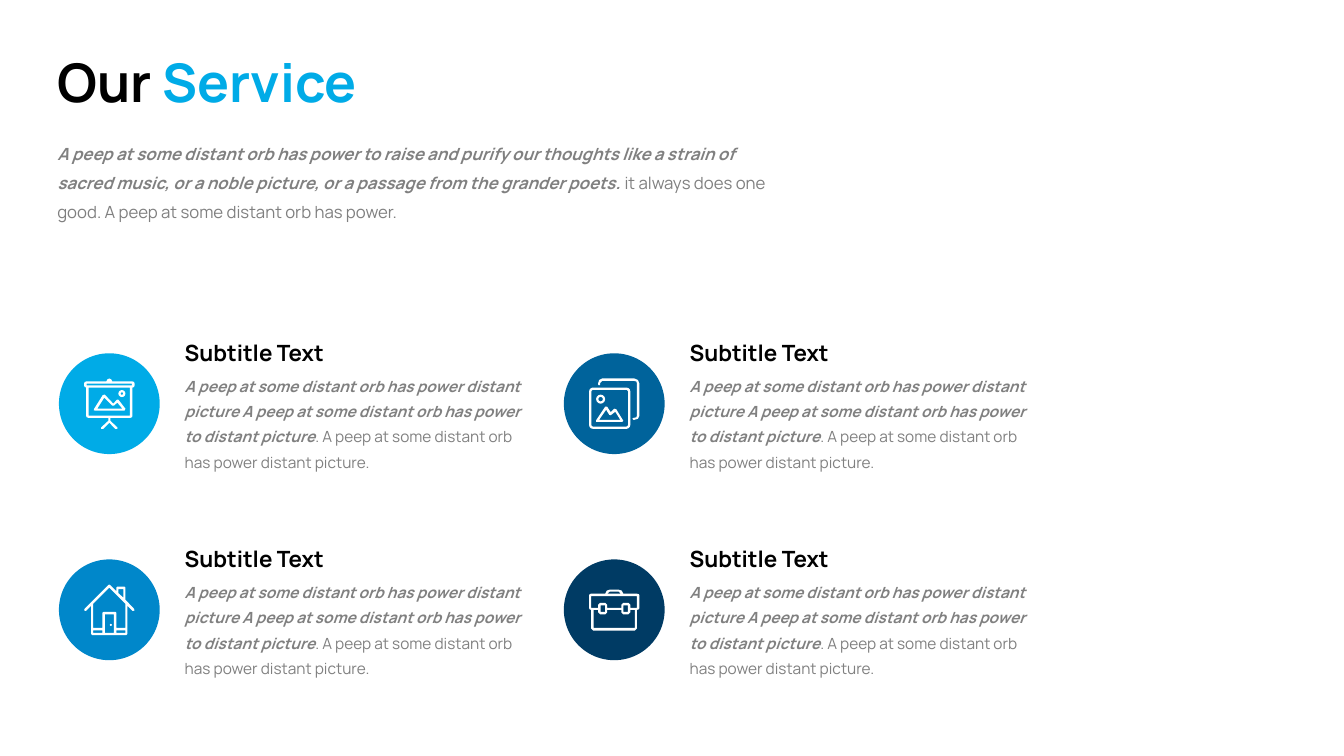
from math import cos, radians, sin

from pptx import Presentation
from pptx.dml.color import RGBColor
from pptx.enum.shapes import MSO_SHAPE
from pptx.enum.text import MSO_ANCHOR, MSO_AUTO_SIZE, PP_ALIGN
from pptx.util import Pt

PX = 4572  # one px is 1/200 inch

COLORS = {
    "black": "000000", "gray": "808080", "white": "FFFFFF",
    "sky": "00ABE7", "azure": "0087CA", "blue": "00639B", "navy": "003B64",
}

# Text formats
TITLE = {"size": Pt(38), "bold": True, "name": "Manrope"}
SUBTITLE = {"size": Pt(16), "bold": True, "name": "Manrope"}
INTRO = {"size": Pt(12), "bold": False, "italic": False, "name": "Manrope"}
BODY = {**INTRO, "size": Pt(11)}
STRONG = {"bold": True, "italic": True}

INTRO_STRONG = (
    "A peep at some distant orb has power to raise and purify our thoughts like a strain of "
    "sacred music, or a noble picture, or a passage from the grander poets. "
)
INTRO_PLAIN = "it always does one good. A peep at some distant orb has power."
BODY_STRONG = (
    "A peep at some distant orb has power distant picture "
    "A peep at some distant orb has power to distant picture"
)
BODY_PLAIN = ". A peep at some distant orb has power distant picture."


# Contours for the icons
def rect(x, y, width, height):
    return [(x, y), (x + width, y), (x + width, y + height), (x, y + height)]


def rounded(x, y, size, radius):
    """Corner points of a square with round corners, clockwise from the right."""
    near, far = radius, size - radius
    centers = [(far, far), (near, far), (near, near), (far, near)]
    return [
        (x + cx + radius * cos(radians(90 * corner + step)),
         y + cy + radius * sin(radians(90 * corner + step)))
        for corner, (cx, cy) in enumerate(centers)
        for step in (0, 30, 60, 90)
    ]


def circle(x, y, radius):
    return [(x + radius * cos(radians(angle)), y + radius * sin(radians(angle)))
            for angle in range(0, 360, 30)]


# Each icon is one outline whose inner contours are holes
SCREEN = [
    [(96, 6), (56, 6), (54, 2), (50, 0), (46, 2), (44, 6), (4, 6), (1, 7), (0, 10), (0, 14),
     (1, 17), (4, 18), (4, 74), (5, 77), (8, 78), (48, 78), (48, 84), (34, 97), (34, 100),
     (38, 100), (50, 88), (62, 100), (66, 100), (66, 97), (52, 84), (52, 78), (92, 78),
     (95, 77), (96, 74), (96, 18), (99, 17), (100, 14), (100, 10), (99, 7)],
    rect(5, 10, 90, 4),
    rect(9, 18, 82, 56),
    circle(75, 30, 7),
    circle(75, 30, 2.5),
    [(22, 64), (80, 64), (82, 60), (68, 42), (65, 42), (58, 50), (41, 32), (37, 33),
     (20, 60), (19, 63)],
    [(26, 60), (40, 38), (56, 54), (59, 54), (66, 48), (76, 60)],
]
PICTURES = [
    [(90, 0), (26, 0), (20, 3), (18, 10), (18, 12), (20, 14), (22, 12), (22, 9), (26, 5),
     (90, 5), (94, 6), (95, 10), (95, 74), (94, 77), (90, 78), (88, 78), (86, 80), (88, 82),
     (90, 82), (97, 80), (100, 74), (100, 10), (97, 3)],
    rounded(0, 18, 82, 8),
    rounded(4.5, 22.5, 73, 4),
    circle(23, 41, 9),
    circle(23, 41, 4.5),
    [(14, 86), (66, 86), (68, 84), (54, 61), (50, 60), (43, 67), (36, 56), (32, 56), (14, 83)],
    [(20, 82), (34, 62), (40, 72), (43, 73), (52, 66), (62, 82)],
]
HOUSE = [
    [(99, 48), (82, 30), (82, 6), (80, 4), (66, 4), (64, 6), (64, 13), (52, 1), (50, 0),
     (48, 1), (1, 48), (0, 51), (2, 52), (4, 52), (14, 42), (14, 98), (16, 100), (84, 100),
     (86, 98), (86, 42), (96, 52), (98, 52), (100, 51)],
    [(68, 9), (78, 9), (78, 26), (68, 17)],
    [(82, 86), (64, 86), (64, 56), (62, 54), (39, 54), (36, 56), (36, 86), (18, 86),
     (18, 38), (50, 6), (82, 38)],
    rect(18, 91, 18, 5),
    rect(64, 91, 18, 5),
    rect(41, 59, 18, 37),
    circle(53, 80, 2),
]
BRIEFCASE = [
    [(95, 8), (68, 8), (65, 2), (59, 0), (41, 0), (35, 2), (32, 8), (4, 8), (1, 9), (0, 12),
     (0, 36), (1, 39), (4, 40), (4, 77), (8, 81), (91, 81), (95, 77), (95, 40), (99, 39),
     (100, 36), (100, 12), (99, 9)],
    [(41, 4), (59, 4), (63, 8), (36, 8)],
    [(95, 36), (82, 36), (82, 30), (78, 26), (68, 26), (64, 30), (64, 36), (36, 36), (36, 30),
     (32, 26), (22, 26), (18, 30), (18, 36), (4, 36), (4, 13), (95, 13)],
    rect(23, 31, 9, 13),
    rect(68, 31, 9, 13),
    [(91, 76), (9, 76), (9, 40), (18, 40), (18, 45), (22, 49), (32, 49), (36, 45), (36, 40),
     (64, 40), (64, 45), (68, 49), (78, 49), (82, 45), (82, 40), (91, 40)],
]

# Column, row, circle color, icon, icon top within the circle
SERVICES = [
    (0, 0, "sky", SCREEN, 50),
    (1, 0, "blue", PICTURES, 50),
    (0, 1, "azure", HOUSE, 50),
    (1, 1, "navy", BRIEFCASE, 60),
]


def rgb(name):
    return RGBColor.from_string(COLORS[name])


def place(shape, left, top, width, height):
    for key, value in zip(("left", "top", "width", "height"), (left, top, width, height)):
        setattr(shape, key, value * PX)


def write(box, spans, wrap=True, spacing=None):
    """Fill a text shape with one paragraph of (text, color, format) spans."""
    frame = box.text_frame
    settings = {"word_wrap": wrap, "auto_size": MSO_AUTO_SIZE.SHAPE_TO_FIT_TEXT,
                "vertical_anchor": MSO_ANCHOR.TOP}
    for key, value in settings.items():
        setattr(frame, key, value)
    para = frame.paragraphs[0]
    para.alignment = PP_ALIGN.LEFT
    if spacing:
        para.line_spacing = Pt(spacing)
    for text, color, style in spans:
        span = para.add_run()
        span.text = text
        for key, value in style.items():
            setattr(span.font, key, value)
        span.font.color.rgb = rgb(color)


def add_text(page, area, spans, **options):
    box = page.shapes.add_textbox(0, 0, 0, 0)
    place(box, *area)
    write(box, spans, **options)


def paint(shape, color):
    shape.shadow.inherit = False
    shape.fill.solid()
    shape.fill.fore_color.rgb = rgb(color)
    shape.line.fill.background()


def add_circle(page, left, top, color):
    disc = page.shapes.add_shape(MSO_SHAPE.OVAL, 0, 0, 0, 0)
    place(disc, left, top, 200, 200)
    paint(disc, color)


def add_icon(page, left, top, contours):
    scaled = [[(x * PX, y * PX) for x, y in points] for points in contours]
    builder = page.shapes.build_freeform(*scaled[0][0])
    for number, points in enumerate(scaled):
        if number:
            builder.move_to(*points[0])
        builder.add_line_segments(points[1:], close=True)
    paint(builder.convert_to_shape(left * PX, top * PX), "white")


def add_service(page, column, row, color, icon, icon_top):
    left, top = 117 + 1002 * column, 701 + 409 * row
    add_text(page, (left + 230, top - 38, 328, 74),
             [("Subtitle Text", "black", SUBTITLE)], wrap=False)
    add_text(page, (left + 230, top + 24, 712, 216),
             [(BODY_STRONG, "gray", BODY | STRONG), (BODY_PLAIN, "gray", BODY)], spacing=18)
    add_circle(page, left, top, color)
    add_icon(page, left + 50, top + icon_top, icon)


def main():
    deck = Presentation()
    deck.slide_width, deck.slide_height = 2667 * PX, 1500 * PX
    page = deck.slides.add_slide(deck.slide_layouts[5])

    # Title and introduction
    title = page.shapes.title
    place(title, 94, 88, 670, 148)
    write(title, [("Our ", "black", TITLE), ("Service", "sky", TITLE)], wrap=False)
    add_text(page, (94, 256, 1484, 190),
             [(INTRO_STRONG, "gray", INTRO | STRONG), (INTRO_PLAIN, "gray", INTRO)], spacing=21)

    # Services
    for service in SERVICES:
        add_service(page, *service)

    deck.save("out.pptx")


if __name__ == "__main__":
    main()
